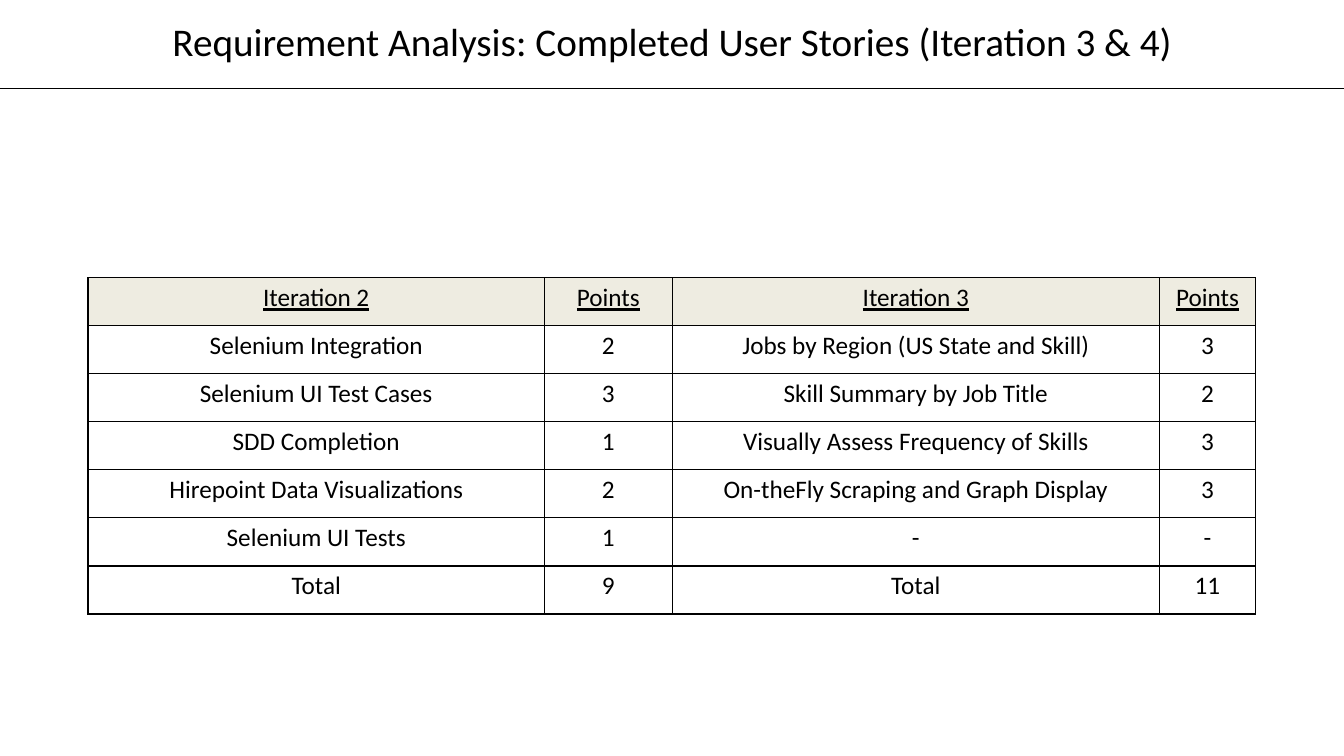
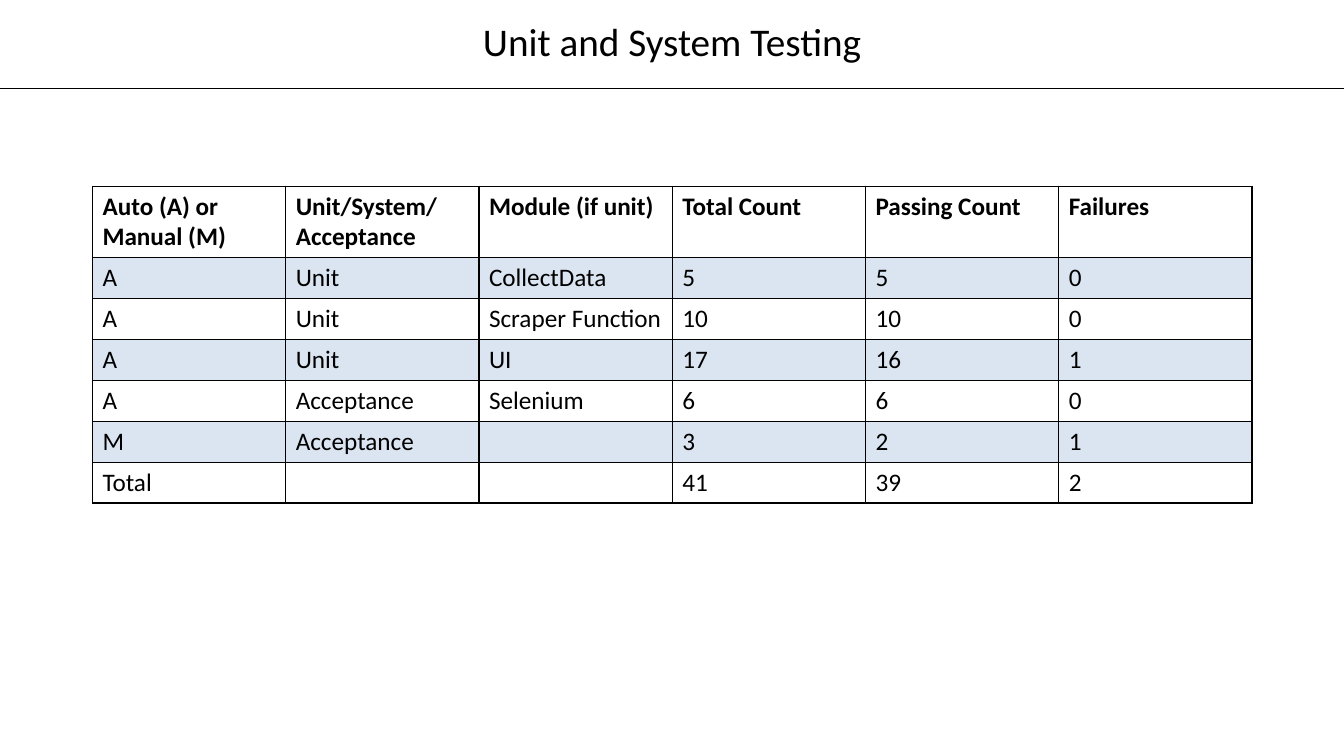
from lxml import etree
from pptx import Presentation
from pptx.dml.color import RGBColor
from pptx.enum.shapes import MSO_CONNECTOR
from pptx.enum.text import MSO_ANCHOR, PP_ALIGN
from pptx.oxml.ns import qn
from pptx.util import Cm, Pt

LINE = MSO_CONNECTOR.STRAIGHT
MIDDLE = MSO_ANCHOR.MIDDLE
CENTER = PP_ALIGN.CENTER
LEFT = PP_ALIGN.LEFT
TITLE_ONLY = 5

COLORS = {"ink": "000000", "header": "EEECE1", "band": "4F81BD"}
FONT = "Calibri"
SLIDE_W, SLIDE_H = Cm(33.87), Cm(19.05)
TITLE_H = Cm(2.23)

STORIES = [
    ["Iteration 2", "Points", "Iteration 3", "Points"],
    ["Selenium Integration", "2", "Jobs by Region (US State and Skill)", "3"],
    ["Selenium UI Test Cases", "3", "Skill Summary by Job Title", "2"],
    ["SDD Completion", "1", "Visually Assess Frequency of Skills", "3"],
    ["Hirepoint Data Visualizations", "2", "On-theFly Scraping and Graph Display", "3"],
    ["Selenium UI Tests", "1", "-", "-"],
    ["Total", "9", "Total", "11"],
]

TESTS = [
    ["Auto (A) or Manual (M)", "Unit/System/ Acceptance", "Module (if unit)",
     "Total Count", "Passing Count", "Failures"],
    ["A", "Unit", "CollectData", "5", "5", "0"],
    ["A", "Unit", "Scraper Function", "10", "10", "0"],
    ["A", "Unit", "UI", "17", "16", "1"],
    ["A", "Acceptance", "Selenium", "6", "6", "0"],
    ["M", "Acceptance", "", "3", "2", "1"],
    ["Total", "", "", "41", "39", "2"],
]


def color(name):
    return RGBColor.from_string(COLORS[name])


def style_paragraph(p, size, align):
    p.alignment = align
    p.font.name = FONT
    p.font.size = Pt(size)
    p.font.color.rgb = color("ink")


def add_titled_slide(prs, title):
    s = prs.slides.add_slide(prs.slide_layouts[TITLE_ONLY])
    sp = s.shapes.title
    sp.left, sp.top, sp.width, sp.height = 0, 0, SLIDE_W, TITLE_H
    tf = sp.text_frame
    tf.text = title
    tf.vertical_anchor = MIDDLE
    p = tf.paragraphs[0]
    p.line_spacing = 0.9
    style_paragraph(p, 28, CENTER)

    rule = s.shapes.add_connector(LINE, 0, TITLE_H, SLIDE_W, TITLE_H)
    rule.line.color.rgb = color("ink")
    rule.line.width = Pt(0.5)
    etree.SubElement(rule._element.spPr, qn("a:effectLst"))
    return s


def set_borders(cell):
    tcPr = cell._tc.get_or_add_tcPr()
    for side in ("lnL", "lnR", "lnT", "lnB"):
        ln = etree.SubElement(tcPr, qn(f"a:{side}"), w=str(Pt(1)))
        fill = etree.SubElement(ln, qn("a:solidFill"))
        etree.SubElement(fill, qn("a:srgbClr"), val=COLORS["ink"])


def set_fill(cell, name, opacity=100):
    if name is None:
        cell.fill.background()
        return
    cell.fill.solid()
    cell.fill.fore_color.rgb = color(name)
    if opacity < 100:
        clr = cell._tc.tcPr.find(f"{qn('a:solidFill')}/{qn('a:srgbClr')}")
        etree.SubElement(clr, qn("a:alpha"), val=str(opacity * 1000))


def add_grid(s, left, top, col_widths, row_heights, data, align):
    frame = s.shapes.add_table(len(data), len(col_widths), left, top,
                               sum(col_widths), sum(row_heights))
    table = frame.table
    table.first_row = False
    table.horz_banding = False
    for col, width in zip(table.columns, col_widths):
        col.width = width
    for row, height, values in zip(table.rows, row_heights, data):
        row.height = height
        for cell, value in zip(row.cells, values):
            cell.text = value
            style_paragraph(cell.text_frame.paragraphs[0], 18, align)
            set_borders(cell)
    return table


def add_stories_table(s, left, top):
    widths = [Cm(w) for w in (11.5, 3.22, 12.28, 2.42)]
    heights = [Cm(1.21)] * len(STORIES)
    table = add_grid(s, left, top, widths, heights, STORIES, CENTER)
    for i, row in enumerate(table.rows):
        for cell in row.cells:
            set_fill(cell, "header" if i == 0 else None)
            if i == 0:
                cell.text_frame.paragraphs[0].font.underline = True


def add_tests_table(s, left, top):
    widths = [Cm(4.87)] * len(TESTS[0])
    heights = [Cm(1.8)] + [Cm(1.03)] * (len(TESTS) - 1)
    table = add_grid(s, left, top, widths, heights, TESTS, LEFT)
    for i, row in enumerate(table.rows):
        for cell in row.cells:
            set_fill(cell, "band" if i % 2 else None, opacity=20)
            if i == 0:
                cell.text_frame.paragraphs[0].font.bold = True


def main():
    prs = Presentation()
    prs.slide_width, prs.slide_height = SLIDE_W, SLIDE_H

    s = add_titled_slide(
        prs, "Requirement Analysis: Completed User Stories (Iteration 3 & 4)")
    add_stories_table(s, Cm(2.22), Cm(7))

    s = add_titled_slide(prs, "Unit and System Testing")
    add_tests_table(s, Cm(2.33), Cm(4.69))

    prs.save("out.pptx")


if __name__ == "__main__":
    main()
